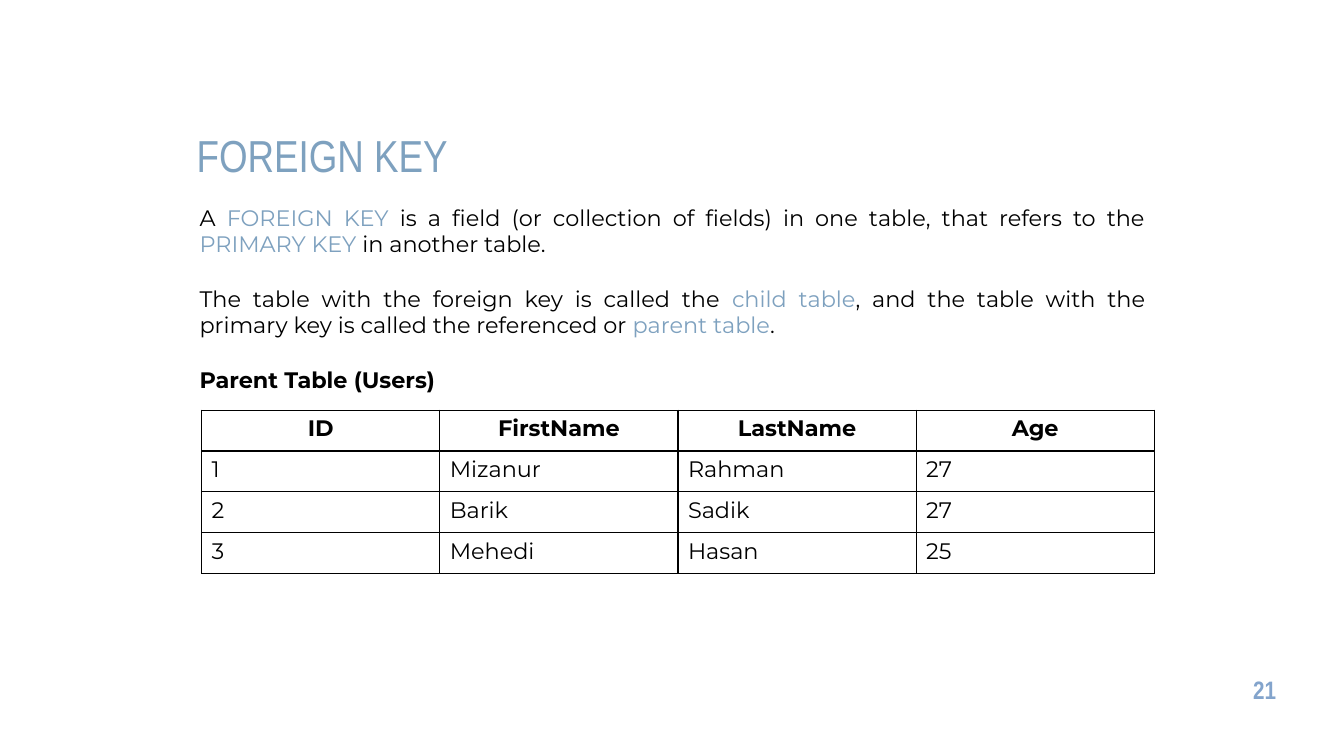
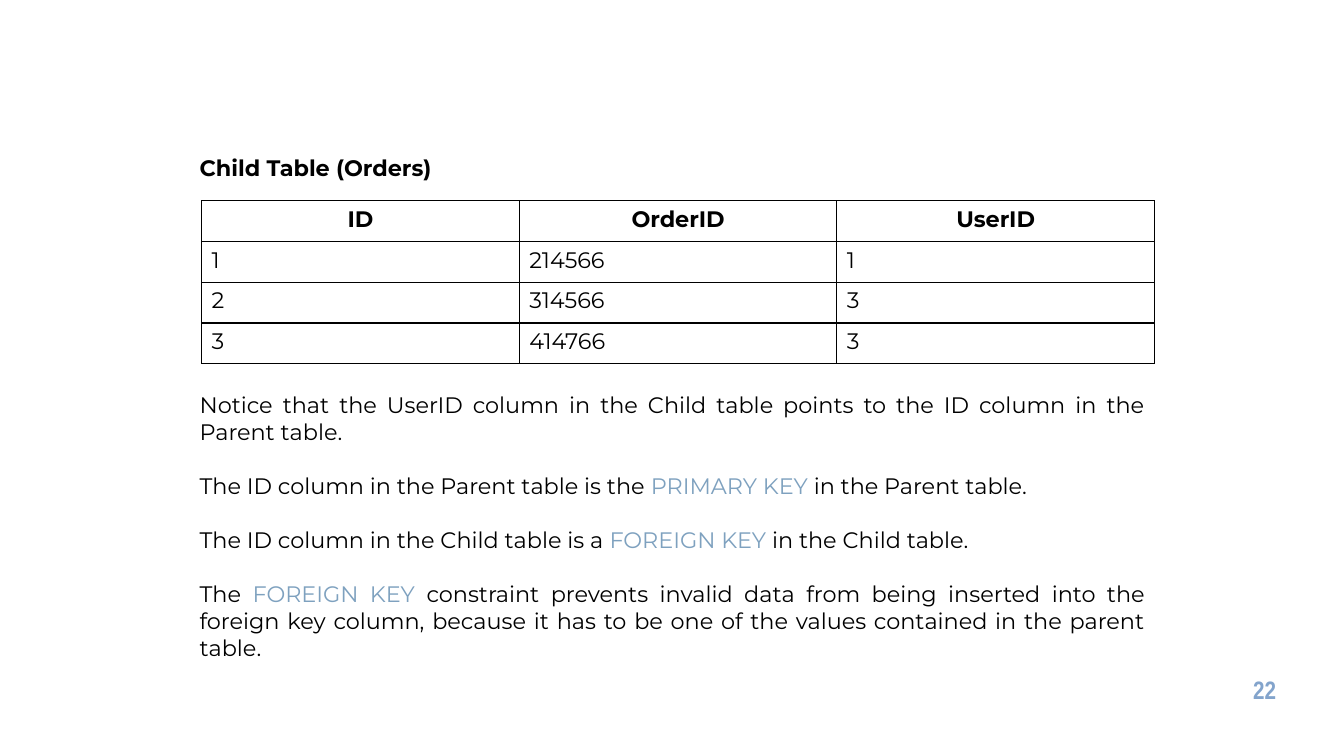
import dataclasses

import pptx
import pptx.dml.color
import pptx.enum.text
import pptx.oxml
import pptx.oxml.ns
import pptx.util

Inches = pptx.util.Inches
Pt = pptx.util.Pt
Align = pptx.enum.text.PP_ALIGN


@dataclasses.dataclass(frozen=True)
class Style:
    """Font and alignment of one kind of paragraph."""

    name: str
    size: int
    color: str
    bold: bool = False
    align: Align = Align.LEFT


@dataclasses.dataclass(frozen=True)
class Theme:
    """Colours, type styles and spacing shared by the slides."""

    accent: str = "7EA1BF"
    line: str = "000000"
    background: str = "FFFFFF"
    paragraph_gap: float = 19.5
    title: Style = Style("Arial Narrow", 32, "7EA1BF")
    body: Style = Style("Montserrat", 16, "000000", align=Align.JUSTIFY)
    caption: Style = Style("Montserrat", 16, "000000", True, Align.JUSTIFY)
    header: Style = Style("Montserrat", 16, "000000", True, Align.CENTER)
    cell: Style = Style("Montserrat", 16, "000000")
    number: Style = Style("Arial Narrow", 18, "83A4CC", True)


THEME = Theme()
NUMBER_BOX = (12.33, 6.64, 0.48, 0.4)


def rgb(value):
    """Return a colour object for a hex value."""
    return pptx.dml.color.RGBColor.from_string(value)


def apply_formats(target, formats):
    """Set each named attribute on the target."""
    for name, value in formats.items():
        setattr(target, name, value)


def write_paragraph(para, text, style):
    """Write text in a style, with the parts between asterisks in the accent colour."""
    para.alignment = style.align
    for index, part in enumerate(text.split("*")):
        if part:
            span = para.add_run()
            span.text = part
            formats = {"name": style.name, "size": Pt(style.size), "bold": style.bold}
            apply_formats(span.font, formats)
            span.font.color.rgb = rgb(THEME.accent if index % 2 else style.color)


def clear_bullet(para):
    """Remove the bullet and hanging indent of a placeholder paragraph."""
    properties = para._p.get_or_add_pPr()
    properties.set("marL", "0")
    properties.set("indent", "0")
    properties.append(pptx.oxml.parse_xml(f'<a:buNone {pptx.oxml.ns.nsdecls("a")}/>'))


def fill_text(shape, box, lines):
    """Place a text shape in its box and write pairs of text and style."""
    sides = ("left", "top", "width", "height")
    apply_formats(shape, dict(zip(sides, map(Inches, box))))
    frame = shape.text_frame
    apply_formats(frame, {
        "word_wrap": True,
        "auto_size": pptx.enum.text.MSO_AUTO_SIZE.NONE,
        "vertical_anchor": pptx.enum.text.MSO_ANCHOR.TOP,
    })
    for index, (text, style) in enumerate(lines):
        para = frame.add_paragraph() if index else frame.paragraphs[0]
        apply_formats(para, {
            "space_before": Pt(THEME.paragraph_gap if index else 0),
            "space_after": Pt(0),
            "line_spacing": 1.0,
        })
        clear_bullet(para)
        write_paragraph(para, text, style)


def outline_cell(cell):
    """Draw a thin line on all four sides of a cell."""
    properties = cell._tc.get_or_add_tcPr()
    for index, side in enumerate(("lnL", "lnR", "lnT", "lnB")):
        line = pptx.oxml.parse_xml(
            f'<a:{side} {pptx.oxml.ns.nsdecls("a")} w="{Pt(1)}"><a:solidFill>'
            f'<a:srgbClr val="{THEME.line}"/></a:solidFill></a:{side}>'
        )
        properties.insert(index, line)


def add_grid(page, box, rows):
    """Add an outlined table with equal columns and rows and a bold header."""
    lengths = [Inches(length) for length in box]
    table = page.shapes.add_table(len(rows), len(rows[0]), *lengths).table
    apply_formats(table, {"first_row": False, "horz_banding": False})
    for row_index, values in enumerate(rows):
        style = THEME.cell if row_index else THEME.header
        for column_index, value in enumerate(values):
            cell = table.cell(row_index, column_index)
            cell.fill.background()
            outline_cell(cell)
            write_paragraph(cell.text_frame.paragraphs[0], value, style)


def add_page(deck, number, title, body, grid):
    """Add a slide with a title, a body, a table and a page number."""
    page = deck.slides.add_slide(deck.slide_layouts[1])
    page.background.fill.solid()
    page.background.fill.fore_color.rgb = rgb(THEME.background)
    fill_text(page.shapes.title, *title)
    fill_text(page.placeholders[1], *body)
    add_grid(page, *grid)
    number_box = page.shapes.add_textbox(0, 0, 0, 0)
    fill_text(number_box, NUMBER_BOX, [(str(number), THEME.number)])


def main():
    """Build and save the deck."""
    deck = pptx.Presentation()
    apply_formats(deck, {"slide_width": Inches(13.33), "slide_height": Inches(7.5)})
    definitions = [
        ("A *FOREIGN KEY *is a field (or collection of fields) in one table, "
         "that refers to the *PRIMARY KEY* in another table.", THEME.body),
        ("The table with the foreign key is called the *child table*, and the table "
         "with the primary key is called the referenced or *parent table*.", THEME.body),
        ("Parent Table (Users)", THEME.caption),
    ]
    users = [
        ("ID", "FirstName", "LastName", "Age"),
        ("1", "Mizanur", "Rahman", "27"),
        ("2", "Barik", "Sadik", "27"),
        ("3", "Mehedi", "Hasan", "25"),
    ]
    add_page(
        deck, 21,
        title=((1.85, 1.22, 5.25, 0.64), [("FOREIGN KEY", THEME.title)]),
        body=((1.88, 1.97, 9.58, 1.99), definitions),
        grid=((2, 4.07, 9.45, 1.62), users),
    )
    notes = [
        "Notice that the UserID column in the Child table points to the ID column "
        "in the Parent table.",
        "The ID column in the Parent table is the *PRIMARY KEY *in the Parent table.",
        "The ID column in the Child table is a *FOREIGN KEY* in the Child table.",
        "The *FOREIGN KEY *constraint prevents invalid data from being inserted into "
        "the foreign key column, because it has to be one of the values contained "
        "in the parent table.",
    ]
    orders = [
        ("ID", "OrderID", "UserID"),
        ("1", "214566", "1"),
        ("2", "314566", "3"),
        ("3", "414766", "3"),
    ]
    add_page(
        deck, 22,
        title=((1.88, 1.48, 9.58, 0.37), [("Child Table (Orders)", THEME.caption)]),
        body=((1.88, 3.83, 9.58, 2.78), [(note, THEME.body) for note in notes]),
        grid=((2, 1.99, 9.45, 1.62), orders),
    )
    deck.save("out.pptx")


main()
